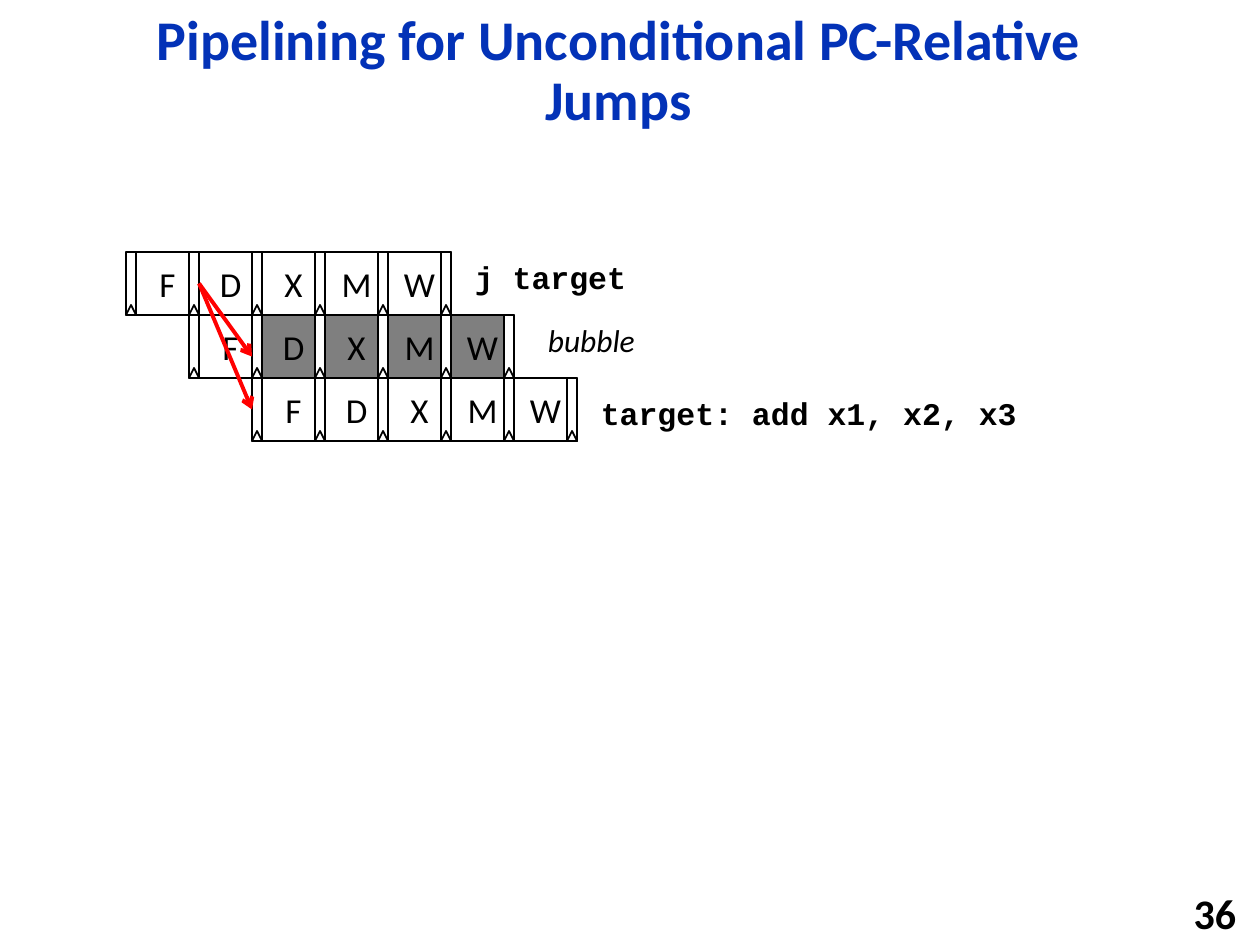
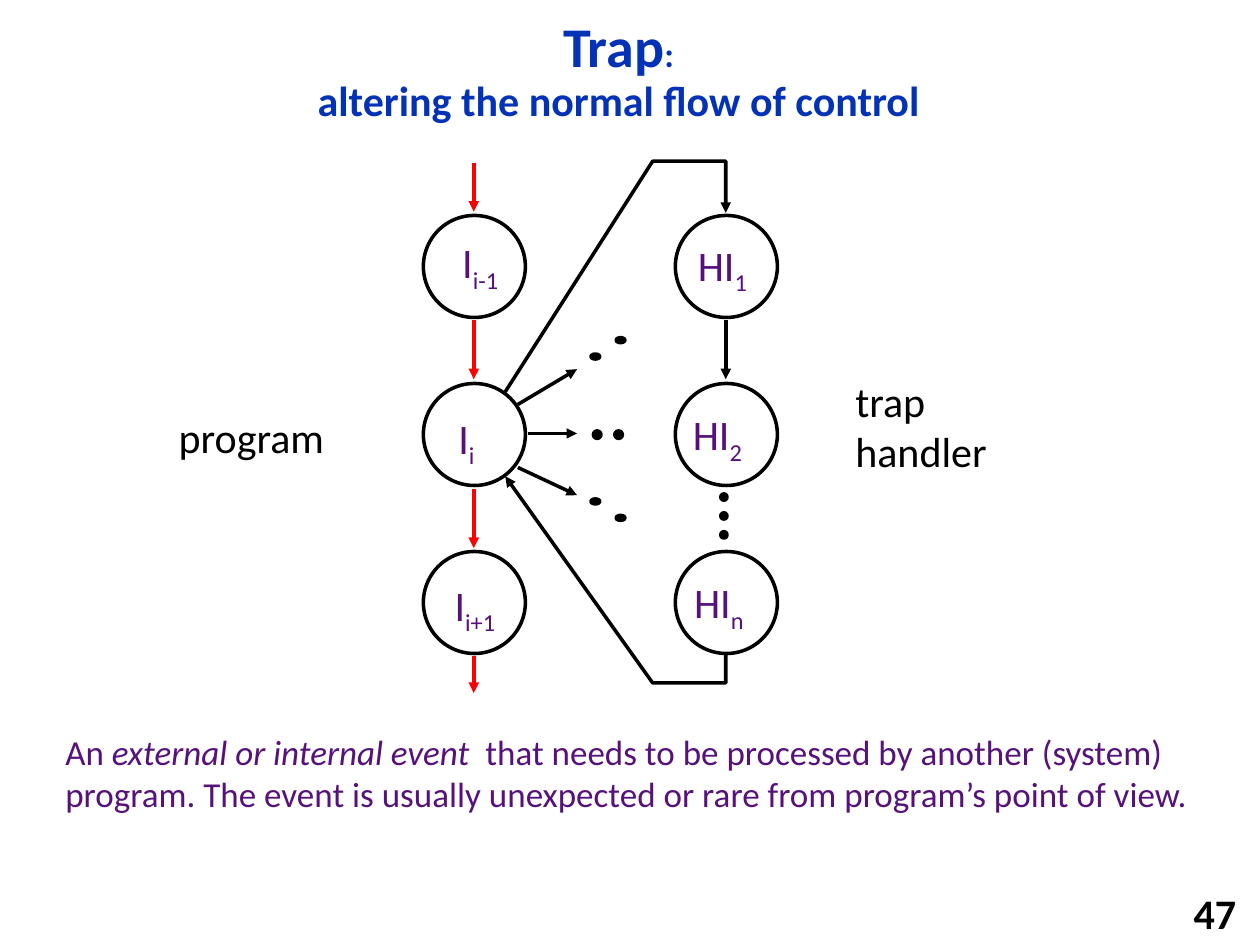
from lxml.etree import SubElement
from pptx import Presentation
from pptx.dml.color import RGBColor
from pptx.enum.shapes import MSO_CONNECTOR, MSO_SHAPE
from pptx.enum.text import MSO_ANCHOR, MSO_AUTO_SIZE, PP_ALIGN
from pptx.oxml.ns import qn
from pptx.util import Inches, Pt

BLACK, WHITE, GRAY, RED = "000000", "FFFFFF", "7F7F7F", "FF0000"
TITLE_BLUE, PURPLE = "0332B7", "56127A"

TITLE = dict(size=32, color=TITLE_BLUE, bold=True)
NUMBER = dict(size=24, bold=True)
STAGE = dict(size=20)
CODE = dict(size=18, name="Courier New", bold=True)
NOTE = dict(size=18, italic=True)
CAPTION = dict(size=24)
NODE = dict(size=24, color=PURPLE)
SUBSCRIPT = dict(NODE, baseline="-25000")
BODY = dict(size=20, color=PURPLE)


# Shared helpers

def rgb(value):
    return RGBColor.from_string(value)


def add_run(para, text, look):
    span = para.add_run()
    span.text = text
    look = {"name": "Calibri", "color": BLACK, **look}
    span.font.color.rgb = rgb(look.pop("color"))
    span.font.size = Pt(look.pop("size"))
    if "baseline" in look:
        span._r.get_or_add_rPr().set("baseline", look.pop("baseline"))
    for key, value in look.items():
        setattr(span.font, key, value)


def add_text(page, left, top, width, height, paras, wrap=False,
             align=PP_ALIGN.LEFT, anchor=MSO_ANCHOR.TOP):
    """Each entry of paras is a list of (text, look) runs."""
    box = page.shapes.add_textbox(*map(Inches, (left, top, width, height)))
    frame = box.text_frame
    frame.word_wrap = wrap
    frame.vertical_anchor = anchor
    for index, runs in enumerate(paras):
        para = frame.add_paragraph() if index else frame.paragraphs[0]
        para.alignment = align
        for text, look in runs:
            add_run(para, text, look)


def add_outlined(page, kind, left, top, width, height, fill=None, weight=1):
    shape = page.shapes.add_shape(kind, *map(Inches, (left, top, width, height)))
    shape.shadow.inherit = False
    if fill:
        shape.fill.solid()
        shape.fill.fore_color.rgb = rgb(fill)
    else:
        shape.fill.background()
    shape.line.color.rgb = rgb(BLACK)
    shape.line.width = Pt(weight)
    return shape


def style_arrow(line, color, weight, head):
    line.color.rgb = rgb(color)
    line.width = Pt(weight)
    SubElement(line._get_or_add_ln(), qn("a:tailEnd"), type=head)


def add_arrow(page, start, end, color=BLACK, weight=2, head="triangle"):
    arrow = page.shapes.add_connector(
        MSO_CONNECTOR.STRAIGHT, *map(Inches, (*start, *end)))
    style_arrow(arrow.line, color, weight, head)
    SubElement(arrow._element.spPr, qn("a:effectLst"))


def add_bent_arrow(page, points):
    corners = [(Inches(x), Inches(y)) for x, y in points]
    builder = page.shapes.build_freeform(*corners[0])
    builder.add_line_segments(corners[1:], close=False)
    shape = builder.convert_to_shape()
    shape.shadow.inherit = False
    shape.fill.background()
    style_arrow(shape.line, BLACK, 2, "triangle")


def add_page(deck, title_lines, number):
    """A page with its blue title and its number at bottom right."""
    page = deck.slides.add_slide(deck.slide_layouts[5])
    title = page.shapes.title
    place = dict(left=0.92, top=0.17, width=7.98, height=0.81)
    for key, value in place.items():
        setattr(title, key, Inches(value))
    frame = title.text_frame
    frame.auto_size = MSO_AUTO_SIZE.NONE
    frame.word_wrap = True
    frame.vertical_anchor = MSO_ANCHOR.MIDDLE
    para = frame.paragraphs[0]
    para.alignment = PP_ALIGN.CENTER
    para.line_spacing = 0.9
    for index, runs in enumerate(title_lines):
        if index:
            para.add_line_break()
            SubElement(para._p[-1], qn("a:rPr"), sz="2000")
        for text, look in runs:
            add_run(para, text, look)
    add_text(page, 7.83, 7.08, 2.08, 0.32, [[(number, NUMBER)]], wrap=True,
             align=PP_ALIGN.RIGHT, anchor=MSO_ANCHOR.MIDDLE)
    return page


# Pipeline diagram

def add_register(page, left, top, cell, width):
    add_outlined(page, MSO_SHAPE.RECTANGLE, left, top, width, cell, WHITE)
    add_outlined(page, MSO_SHAPE.ISOSCELES_TRIANGLE, left, top + cell - width,
                 width, width, WHITE)


def add_pipeline(page, left, top):
    cell, register = 0.5, 0.08
    bubble_row = 1
    for row in range(3):
        row_left, row_top = left + row * cell, top + row * cell
        add_register(page, row_left, row_top, cell, register)
        for column, letter in enumerate("FDXMW"):
            stage_left = row_left + column * cell
            fill = GRAY if row == bubble_row and column else WHITE
            stage = add_outlined(page, MSO_SHAPE.RECTANGLE, stage_left + register,
                                 row_top, cell, cell, fill)
            frame = stage.text_frame
            for side in ("left", "top", "right", "bottom"):
                setattr(frame, f"margin_{side}", 0)
            frame.vertical_anchor = MSO_ANCHOR.MIDDLE
            para = frame.paragraphs[0]
            para.alignment = PP_ALIGN.CENTER
            add_run(para, letter, STAGE)
            add_register(page, stage_left + cell, row_top, cell, register)

    # Instruction beside each row
    for x, y, width, text, look in (
            (2.67, 0, 1.41, "j target", CODE),
            (3.25, 0.5, 0.96, "bubble", NOTE),
            (3.67, 1.08, 3.53, "target: add x1, x2, x3", CODE)):
        add_text(page, left + x, top + y, width, 0.4, [[(text, look)]])

    # Jump decode redirects the next two fetches
    for drop in (1.25, 0.83):
        add_arrow(page, (left + 0.58, top + 0.25), (left + 1, top + drop),
                  RED, 2.25, "arrow")


# Trap diagram

def add_trap_flow(page, left, top):
    size, row_step, handler_x = 0.81, 4 / 3, 2

    def at(x, y):
        return left + x, top + y

    # Jump into the handler and return from it
    for points in (
            [(0.65, 1.4), (1.82, -0.43), (2.4, -0.43), (2.4, -0.02)],
            [(2.4, 3.33), (2.4, 3.71), (1.82, 3.71), (0.65, 2.07)]):
        add_bent_arrow(page, [at(*point) for point in points])

    # Instruction nodes: name, subscript, label offset and width
    program = [("I", "i-1", 0.21, 0.12, 0.52), ("I", "i", 0.18, 0.18, 0.34),
               ("I", "i+1", 0.15, 0.17, 0.56)]
    handler = [("HI", "1", 0.08, 0.14, 0.61), ("HI", "2", 0.04, 0.15, 0.61),
               ("HI", "n", 0.05, 0.15, 0.61)]
    for column_x, nodes in ((0, program), (handler_x, handler)):
        for row, (name, index, dx, dy, width) in enumerate(nodes):
            x, y = at(column_x, row * row_step)
            fill = WHITE if index == "n" else None
            add_outlined(page, MSO_SHAPE.OVAL, x, y, size, size, fill, 2)
            add_text(page, x + dx, y + dy, width, 0.5,
                     [[(name, NODE), (index, SUBSCRIPT)]])

    # Normal flow down the program, and first step of the handler
    for x, start, end, color in (
            (0.4, -0.42, -0.03, RED), (0.4, 0.83, 1.3, RED),
            (0.4, 2.17, 2.64, RED), (0.4, 3.5, 3.79, RED),
            (2.4, 0.83, 1.3, BLACK)):
        add_arrow(page, at(x, start), at(x, end), color)

    # Other possible handlers
    for start, end in (((0.75, 1.5), (1.22, 1.22)),
                       ((0.83, 1.73), (1.22, 1.73)),
                       ((0.75, 2), (1.22, 2.22))):
        add_arrow(page, at(*start), at(*end))

    # Ellipsis dots
    dots = [(1.33, 1.1, 0.07, 0.04), (1.53, 0.97, 0.07, 0.04),
            (1.35, 1.71, 0.06, 0.06), (1.52, 1.71, 0.06, 0.06),
            (1.33, 2.25, 0.07, 0.04), (1.53, 2.38, 0.07, 0.04)]
    dots += [(2.36, 2.21 + 0.15 * step, 0.05, 0.05) for step in range(3)]
    for x, y, width, height in dots:
        add_outlined(page, MSO_SHAPE.OVAL, *at(x, y), width, height, BLACK, 2)

    # Column captions
    add_text(page, *at(-2.04, 1.51), 1.38, 0.5, [[("program", CAPTION)]])
    add_text(page, *at(3.33, 1.22), 1.26, 0.91,
             [[("trap", CAPTION)], [("handler", CAPTION)]])


def add_definition(page, left, top):
    add_text(page, left, top, 9.17, 1.1, [[
        ("An ", BODY),
        ("external or internal event", dict(BODY, italic=True)),
        ("  that needs to be processed by another (system) program. The event "
         "is usually unexpected or rare from program’s point of view.", BODY),
    ]], wrap=True)


def main():
    deck = Presentation()
    deck.slide_width, deck.slide_height = Inches(10), Inches(7.5)

    page = add_page(
        deck, [[("Pipelining for Unconditional PC-Relative Jumps", TITLE)]], "36")
    add_pipeline(page, 1, 2)

    page = add_page(deck, [
        [("Trap", TITLE), (":", dict(TITLE, size=20))],
        [("altering the normal flow of control", dict(TITLE, size=24))]], "47")
    add_trap_flow(page, 3.36, 1.71)
    add_definition(page, 0.42, 5.75)

    deck.save("out.pptx")


if __name__ == "__main__":
    main()
